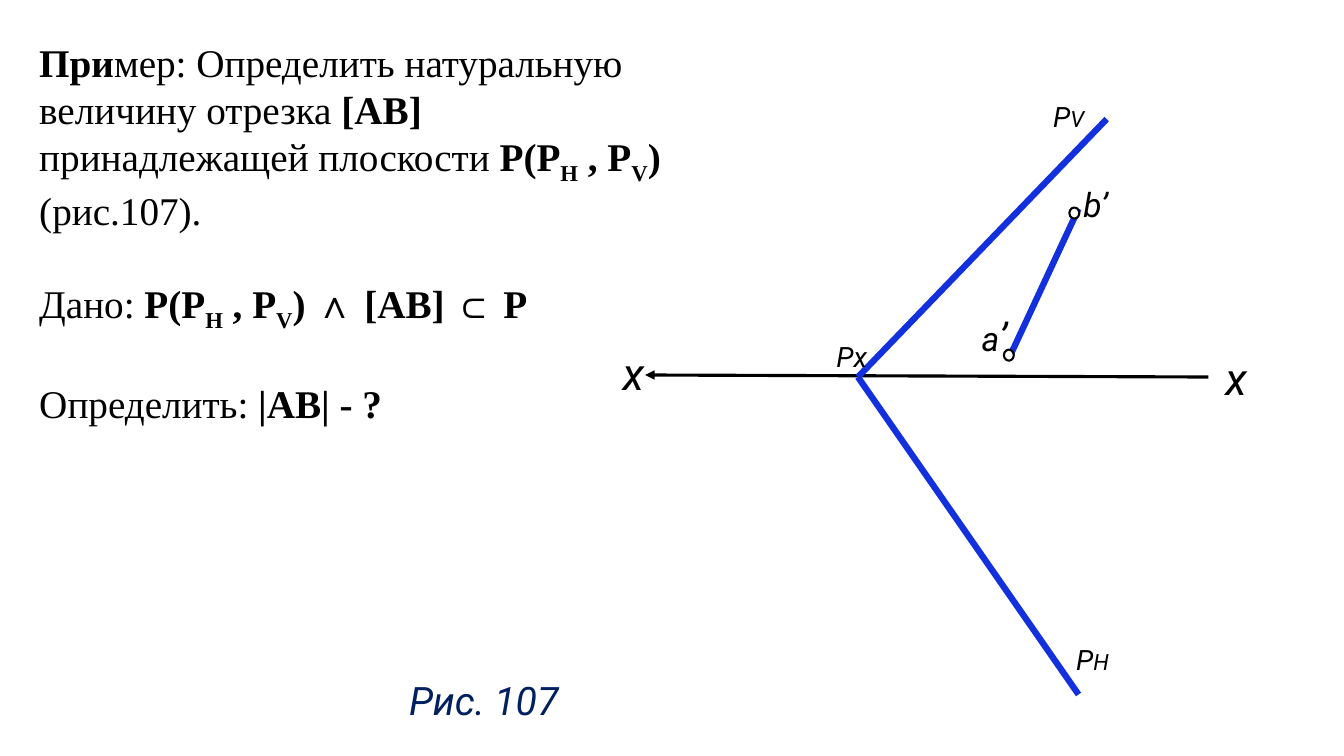
from lxml import etree
from pptx import Presentation
from pptx import util as u
from pptx.dml.color import RGBColor
from pptx.enum import shapes, text
from pptx.oxml.ns import qn

COLORS = {"black": "000000", "white": "FFFFFF", "trace": "1330DD", "caption": "002060"}
SERIF, SANS = "Times New Roman", "Roboto"

prs = Presentation()
prs.slide_width, prs.slide_height = u.Cm(33.87), u.Cm(19.05)
slide = prs.slides.add_slide(prs.slide_layouts[6])


def add_text_frame(left, top, width, height):
    frame = slide.shapes.add_textbox(*map(u.Cm, (left, top, width, height))).text_frame
    frame.word_wrap = True
    frame.auto_size = text.MSO_AUTO_SIZE.NONE
    return frame


def add_run(paragraph, words, color="black", **formats):
    run = paragraph.add_run()
    run.text = words
    run.font.color.rgb = RGBColor.from_string(COLORS[color])
    for name, value in formats.items():
        setattr(run.font, name, value)
    return run


# Problem statement: each part is (words, style), b = bold, s = bold subscript
plane = [("Р(P", "b"), ("H", "s"), (" , P", "b"), ("V", "s")]
statement = [
    [("При", "b"), ("мер: Определить натуральную величину отрезка ", ""), ("[АВ]", "b"),
     (" принадлежащей плоскости ", ""), *plane, (")", "b"), (" (рис.107).", "")],
    [("Дано: ", ""), *plane, (") ∧ [АВ] ⊂ P", "b")],
    [("Определить: ", ""), ("|AB| - ?", "b")],
]
problem = add_text_frame(0.74, 0.84, 16.94, 9.83)
for index, parts in enumerate(statement):
    paragraph = problem.add_paragraph() if index else problem.paragraphs[0]
    paragraph.space_before = u.Pt(33 if index else 0)
    for words, style in parts:
        run = add_run(paragraph, words, name=SERIF, size=u.Pt(28), bold=style != "")
        if style == "s":
            run.font._element.set("baseline", "-25000")

# Axis, plane traces and the projected segment
trace_point = (21.62, 9.5)
lines = [
    ((16.26, 9.45), (30.45, 9.5), "black", 2.25),
    ((27.18, 17.5), trace_point, "trace", 4.5),
    ((27.89, 3.0), trace_point, "trace", 4.5),
    ((27.18, 5.26), (25.43, 9.02), "trace", 4.5),
]
for start, end, color, width in lines:
    line = slide.shapes.add_connector(
        shapes.MSO_CONNECTOR.STRAIGHT, *map(u.Cm, start + end))
    line.line.color.rgb = RGBColor.from_string(COLORS[color])
    line.line.width = u.Pt(width)
    if color == "black":
        etree.SubElement(line.line._get_or_add_ln(), qn("a:headEnd"), type="triangle")
    etree.SubElement(line._element.spPr, qn("a:effectLst"))

# End points of the segment
for left, top in [(26.95, 5.23), (25.3, 8.81)]:
    point = slide.shapes.add_shape(
        shapes.MSO_SHAPE.OVAL, *map(u.Cm, (left, top, 0.25, 0.28)))
    point.shadow.inherit = False
    point.fill.solid()
    point.fill.fore_color.rgb = RGBColor.from_string(COLORS["white"])
    point.line.color.rgb = RGBColor.from_string(COLORS["black"])
    point.line.width = u.Pt(1.5)

# Labels: left, top, width, colour, runs of (words, size)
labels = [
    (15.44, 8.59, 1.93, "black", [("x", 32)]),
    (30.63, 8.71, 1.93, "black", [("x", 32)]),
    (26.87, 16.06, 1.93, "black", [("P", 20), ("H", 16)]),
    (26.29, 2.39, 1.93, "black", [("P", 20), ("V", 16)]),
    (20.83, 8.43, 1.93, "black", [("Px", 20)]),
    (24.49, 7.75, 1.93, "black", [("a", 24), ("’", 28)]),
    (27.05, 4.52, 1.93, "black", [("b’", 24)]),
    (10.06, 16.92, 7.06, "caption", [("Рис. 107", 28)]),
]
for left, top, width, color, parts in labels:
    label = add_text_frame(left, top, width, 1.6).paragraphs[0]
    for words, size in parts:
        add_run(label, words, color, name=SANS, size=u.Pt(size), italic=True)

prs.save("out.pptx")
